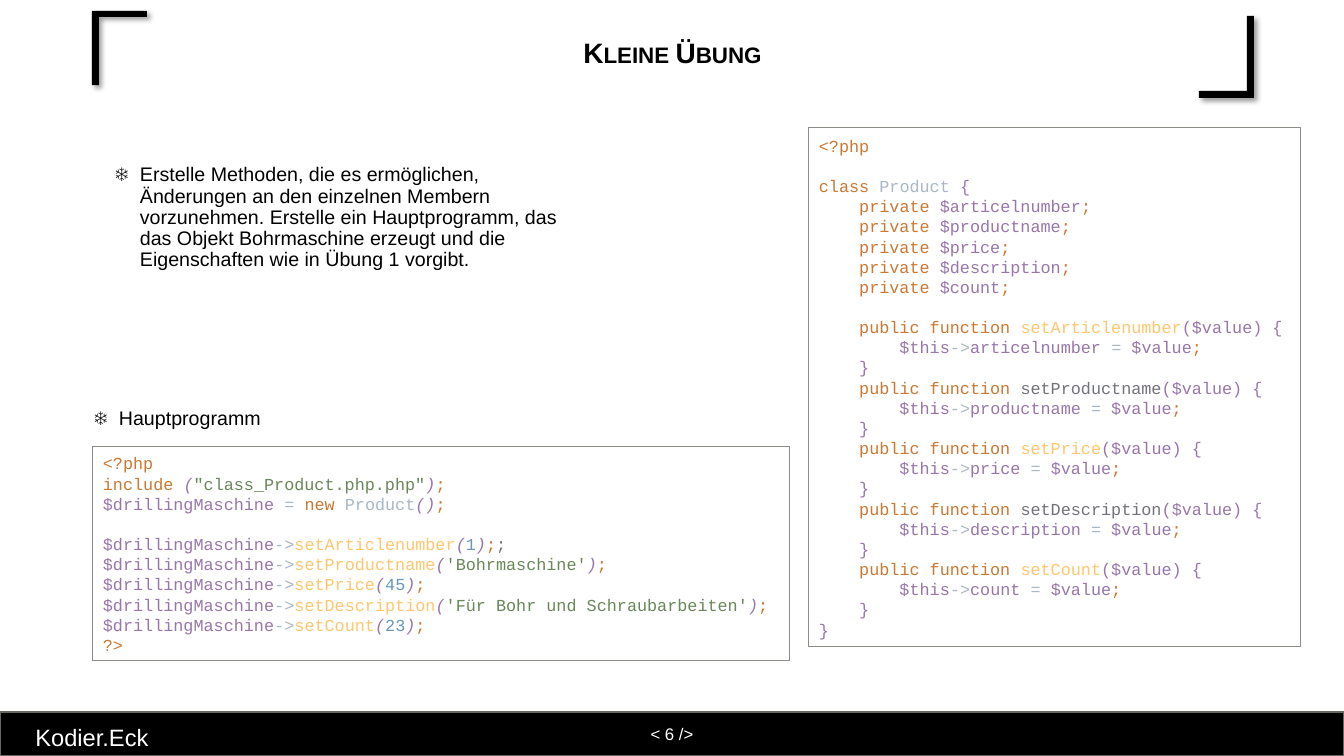
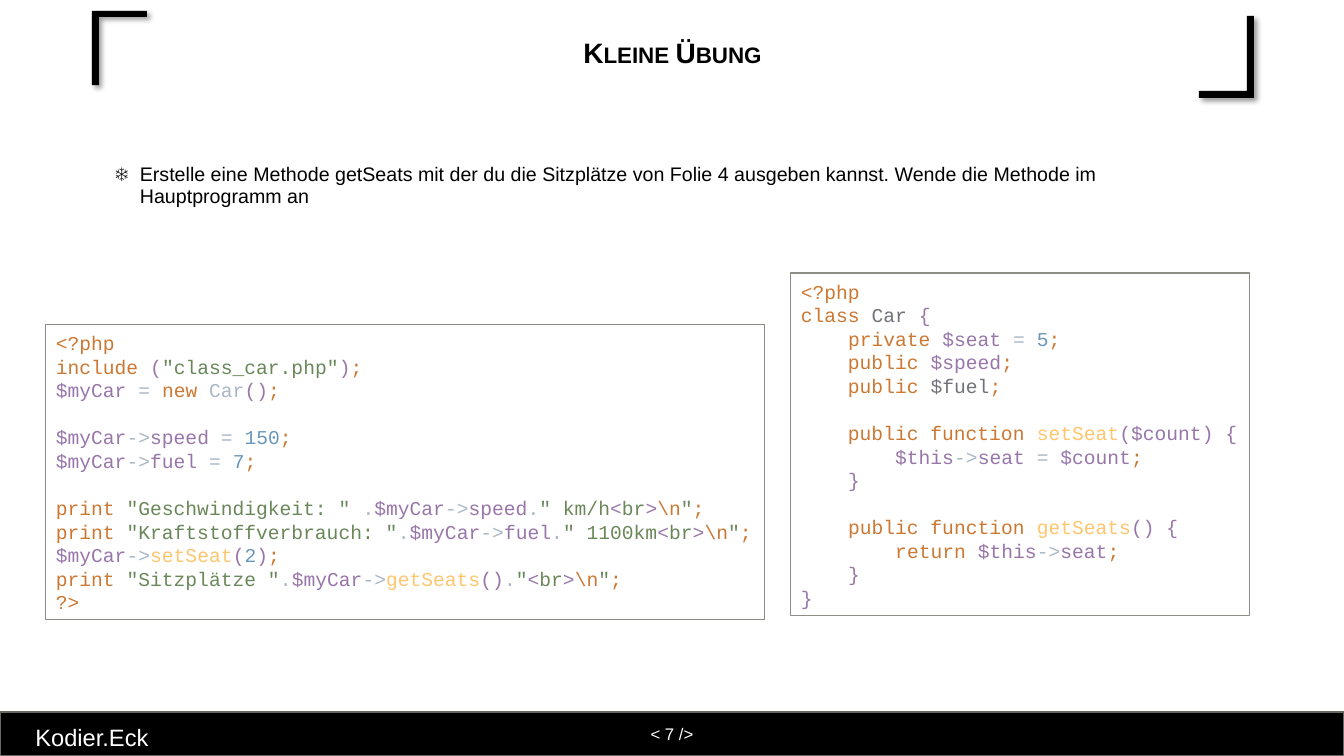
from copy import deepcopy

from lxml import etree
from pptx import Presentation
from pptx import util as u
from pptx.dml.color import RGBColor
from pptx.enum import shapes, text
from pptx.oxml import ns

SCALE = 914400 / 100.8
BLACK, WHITE = "000000", "FFFFFF"
BAND_EDGE, CODE_EDGE = "686863", "8C8D86"
SANS, MONO = "Arial", "Courier New"
CORNERS = (
    [(99, 85), (92, 85), (92, 11), (147, 11), (147, 17), (99, 17)],
    [(1247, 16), (1254, 16), (1254, 98), (1199, 98), (1199, 91), (1247, 91)],
)
SYNTAX = {
    "k": ("CC7832", False),
    "v": ("9876AA", False),
    "i": ("9876AA", True),
    "o": ("A9B7C6", False),
    "f": ("FFC66D", False),
    "s": ("6A8759", False),
    "n": ("6897BB", False),
    "g": ("72737A", False),
}

FIELDS = ("articelnumber", "productname", "price", "description", "count")
SETTERS = (
    ("~fsetArticlenumber", "articelnumber"),
    ("~gsetProductname", "productname"),
    ("~fsetPrice", "price"),
    ("~gsetDescription", "description"),
    ("~fsetCount", "count"),
)
CALLS = (
    ("setArticlenumber", "~n1", "~k;~g;"),
    ("setProductname", "~s'Bohrmaschine'", "~k;"),
    ("setPrice", "~n45", "~k;"),
    ("setDescription", "~s'Für Bohr und Schraubarbeiten'", "~k;"),
    ("setCount", "~n23", "~k;"),
)

PRODUCT_CLASS = "\n".join(
    ["~k<?php", "", "class ~oProduct ~v{"]
    + [f"    ~kprivate ~v${field}~k;" for field in FIELDS]
    + [""]
    + [
        f"    ~kpublic function {setter}~v($value) {{\n"
        f"        $this~o->~v{field} ~o= ~v$value~k;\n"
        "    ~v}"
        for setter, field in SETTERS
    ]
    + ["}"]
)

PRODUCT_MAIN = "\n".join(
    [
        "~k<?php",
        'include ~i(~s"class_Product.php.php"~i)~k;',
        "~v$drillingMaschine ~o= ~knew ~oProduct~i()~k;",
        "",
    ]
    + [
        f"~v$drillingMaschine~o->~f{setter}~i({value}~i){end}"
        for setter, value, end in CALLS
    ]
    + ["~k?>"]
)

CAR_CLASS = """~k<?php
class ~gCar ~v{
    ~kprivate ~v$seat ~o= ~n5~k;
    public ~v$speed~k;
    public ~g$fuel~k;

    public function ~fsetSeat~v($count) {
        $this~o->~vseat ~o= ~v$count~k;
    ~v}

    ~kpublic function ~fgetSeats~v() {
        ~kreturn ~v$this~o->~vseat~k;
    ~v}
}"""

CAR_MAIN = r"""~k<?php
include ~v(~s"class_car.php"~v)~k;
~v$myCar ~o= ~knew ~oCar~v()~k;

~v$myCar~o->~vspeed ~o= ~n150~k;
~v$myCar~o->~vfuel ~o= ~n7~k;

print ~s"Geschwindigkeit: " ~o.~v$myCar~o->~vspeed~o.~s" km/h~v<~sbr~v>~k\n~s"~k;
print ~s"Kraftstoffverbrauch: "~o.~v$myCar~o->~vfuel~o.~s" 1100km~v<~sbr~v>~k\n~s"~k;
~v$myCar~o->~fsetSeat~v(~n2~v)~k;
print ~s"Sitzplätze "~o.~v$myCar~o->~fgetSeats~v()~o.~s"~v<~sbr~v>~k\n~s"~k;
?>"""


def px(length):
    return u.Emu(round(length * SCALE))


def rgb(value):
    return RGBColor.from_string(value)


def add_run(paragraph, words, size, color, font=SANS, bold=False, italic=False):
    run = paragraph.add_run()
    run.text = words
    run.font.name = font
    run.font.size = u.Pt(size)
    run.font.color.rgb = rgb(color)
    run.font.bold = bold
    run.font.italic = italic
    return run


class Deck:
    def __init__(self):
        self.show = Presentation()
        self.show.slide_width, self.show.slide_height = px(1344), px(756)
        self.slide = None

    def new_slide(self, number, title):
        self.slide = self.show.slides.add_slide(self.show.slide_layouts[6])
        for points in CORNERS:
            self.corner(points)
        self.footer(number)
        self.title(title)

    def corner(self, points):
        builder = self.slide.shapes.build_freeform(*points[0], scale=SCALE)
        builder.add_line_segments(points[1:], close=True)
        bracket = builder.convert_to_shape()
        bracket.fill.solid()
        bracket.fill.fore_color.rgb = rgb(BLACK)
        bracket.line.fill.background()
        bracket.shadow.inherit = False
        effects = bracket._element.spPr.find(ns.qn("a:effectLst"))
        shadow = etree.SubElement(
            effects, ns.qn("a:outerShdw"),
            blurRad=str(u.Pt(4)), dist=str(u.Pt(3)), dir="2700000", algn="tl", rotWithShape="0",
        )
        tint = etree.SubElement(shadow, ns.qn("a:srgbClr"), val=BLACK)
        etree.SubElement(tint, ns.qn("a:alpha"), val="40000")

    def panel(self, box, fill, edge, width):
        panel = self.slide.shapes.add_shape(shapes.MSO_SHAPE.RECTANGLE, *map(px, box))
        panel.shadow.inherit = False
        panel.fill.solid()
        panel.fill.fore_color.rgb = rgb(fill)
        panel.line.color.rgb = rgb(edge)
        panel.line.width = u.Pt(width)
        panel.text_frame.vertical_anchor = text.MSO_ANCHOR.MIDDLE
        return panel.text_frame

    def text_box(self, box, spacing, align=text.PP_ALIGN.LEFT):
        frame = self.slide.shapes.add_textbox(*map(px, box)).text_frame
        frame.word_wrap = True
        paragraph = frame.paragraphs[0]
        paragraph.alignment = align
        paragraph.line_spacing = spacing
        return frame, paragraph

    def footer(self, number):
        band = self.panel((0, 712, 1344, 44), BLACK, BAND_EDGE, 1)
        band.margin_top = band.margin_bottom = px(12)
        page = band.paragraphs[0]
        page.alignment = text.PP_ALIGN.CENTER
        add_run(page, f"< {number} />", 12, WHITE)
        _, school = self.text_box((8, 714, 168, 51), 1.14, text.PP_ALIGN.CENTER)
        add_run(school, "Kodier.Eck", 16.9, WHITE)

    def title(self, words):
        frame, heading = self.text_box((105, 24, 1135, 60), 0.9, text.PP_ALIGN.CENTER)
        frame.vertical_anchor = text.MSO_ANCHOR.MIDDLE
        run = add_run(heading, words, 20, BLACK, bold=True)
        run._r.get_or_add_rPr().set("cap", "small")

    def bullet(self, box, words):
        _, task = self.text_box(box, 0.9)
        properties = task._p.get_or_add_pPr()
        properties.set("marL", str(px(25)))
        properties.set("indent", str(px(-25)))
        etree.SubElement(properties, ns.qn("a:buFont"), typeface=SANS)
        etree.SubElement(properties, ns.qn("a:buChar"), char="❄")
        add_run(task, words, 14, BLACK)

    def code(self, box, source, size):
        frame = self.panel(box, WHITE, CODE_EDGE, 0.75)
        frame.word_wrap = False
        frame.auto_size = text.MSO_AUTO_SIZE.SHAPE_TO_FIT_TEXT
        listing = frame.paragraphs[0]
        listing.alignment = text.PP_ALIGN.LEFT
        run = None
        for token in source.split("~")[1:]:
            color, italic = SYNTAX[token[0]]
            for index, piece in enumerate(token[1:].split("\n")):
                if index:
                    listing.add_line_break()
                    listing._p[-1].append(deepcopy(run._r.rPr))
                if piece:
                    run = add_run(listing, piece, size, color, MONO, italic=italic)


def main():
    deck = Deck()

    deck.new_slide(6, "Kleine Übung")
    deck.bullet(
        (105, 160, 488, 149),
        "Erstelle Methoden, die es ermöglichen, Änderungen an den einzelnen Membern "
        "vorzunehmen. Erstelle ein Hauptprogramm, das das Objekt Bohrmaschine erzeugt "
        "und die Eigenschaften wie in Übung 1 vorgibt.",
    )
    deck.code((809, 128, 492, 519), PRODUCT_CLASS, 12)
    deck.code((93, 447, 697, 214), PRODUCT_MAIN, 12)
    deck.bullet((84, 404, 290, 31), "Hauptprogramm")

    deck.new_slide(7, "Kleine Übung")
    deck.bullet(
        (105, 160, 1135, 89),
        "Erstelle eine Methode getSeats mit der du die Sitzplätze von Folie 4 ausgeben "
        "kannst. Wende die Methode im Hauptprogramm an",
    )
    deck.code((791, 273, 459, 343), CAR_CLASS, 14)
    deck.code((46, 325, 719, 295), CAR_MAIN, 14)

    deck.show.save("out.pptx")


if __name__ == "__main__":
    main()
